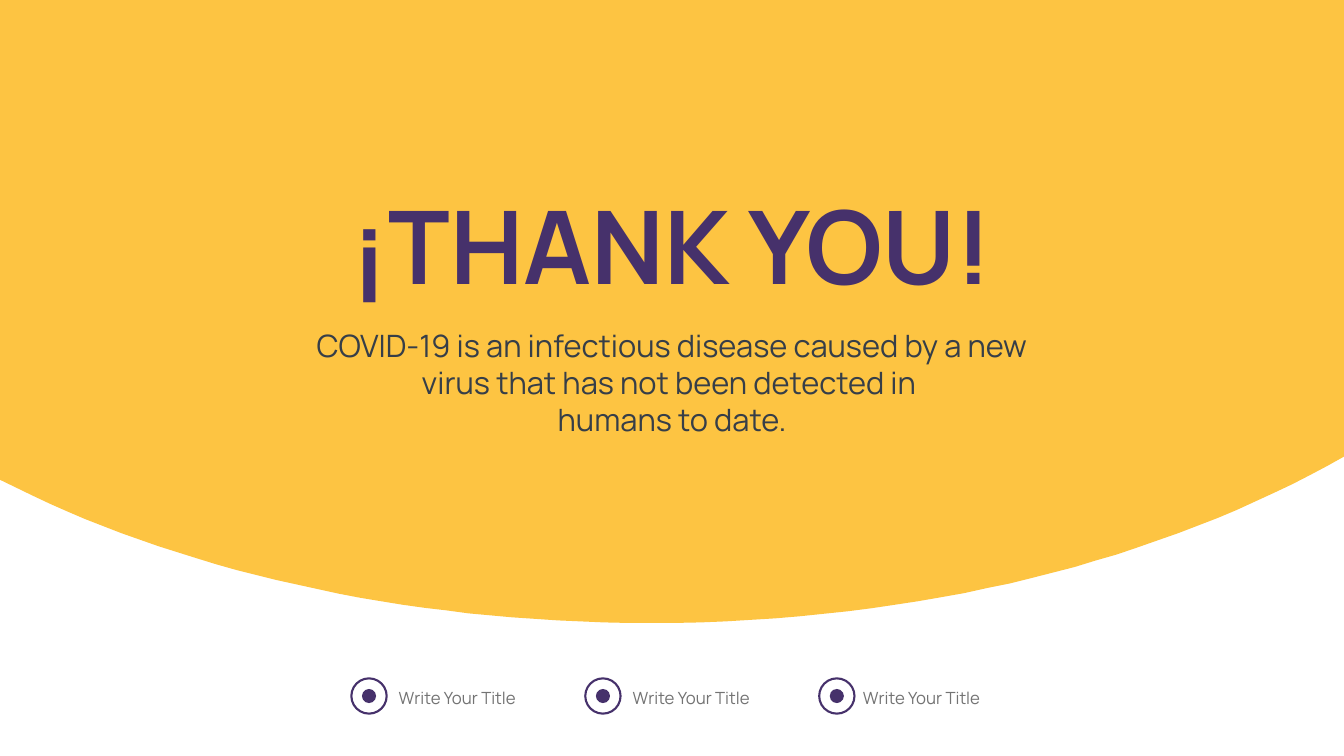
from pptx import Presentation
from pptx.dml.color import RGBColor
from pptx.enum.shapes import MSO_SHAPE
from pptx.enum.text import PP_ALIGN
from pptx.util import Pt

EMU_PER_PX = 9144  # 100 px to the inch
SLIDE_W, SLIDE_H = 2666, 1500

YELLOW = RGBColor(0xFD, 0xC4, 0x42)
PURPLE = RGBColor(0x46, 0x31, 0x6B)
SLATE = RGBColor(0x36, 0x3E, 0x48)
GREY = RGBColor(0x73, 0x73, 0x73)

OVAL = MSO_SHAPE.OVAL
LEFT, CENTER = PP_ALIGN.LEFT, PP_ALIGN.CENTER

# Lower edge of the yellow field: two cubic curves, left to right
FIELD_EDGE = [
    ((0, 952), (345, 1129), (797, 1236), (1290, 1236)),
    ((1290, 1236), (1825, 1236), (2311, 1109), (2666, 906)),
]
CURVE_STEPS = 32

RING_LEFT, RING_TOP, RING_SIZE, RING_PITCH = 697, 1346, 70, 464
DOT_SIZE = 28
LABEL_LEFTS = (781, 1245, 1702)


def px(length):
    return int(length * EMU_PER_PX)


def curve_points(start, control_1, control_2, end):
    """Points along a cubic curve, without its start."""
    points = []
    for step in range(1, CURVE_STEPS + 1):
        t = step / CURVE_STEPS
        u = 1 - t
        points.append(tuple(
            round(u**3 * a + 3 * u**2 * t * b + 3 * u * t**2 * c + t**3 * d, 2)
            for a, b, c, d in zip(start, control_1, control_2, end)))
    return points


class SlideWriter:
    """Holds the font and the current slide."""

    def __init__(self, slide, font="Manrope"):
        self.shapes = slide.shapes
        self.font = font

    def text(self, paragraphs, left, top, width, height, *,
             size, color, bold=False, align=LEFT):
        box = self.shapes.add_textbox(px(left), px(top), px(width), px(height))
        frame = box.text_frame
        frame.word_wrap = True
        frame.text = "\n".join(paragraphs)
        for paragraph in frame.paragraphs:
            paragraph.alignment = align
            for run in paragraph.runs:
                run.font.name = self.font
                run.font.size = Pt(size)
                run.font.bold = bold
                run.font.color.rgb = color

    def outline(self, points, fill):
        """Closed freeform through the given points."""
        builder = self.shapes.build_freeform(*points[0], scale=EMU_PER_PX)
        builder.add_line_segments(points[1:], close=True)
        self.paint(builder.convert_to_shape(), fill=fill)

    def circle(self, left, top, size, **colors):
        circle = self.shapes.add_shape(OVAL, px(left), px(top), px(size), px(size))
        self.paint(circle, **colors)

    def paint(self, shape, fill=None, line=None):
        shape.shadow.inherit = False
        if fill is None:
            shape.fill.background()
        else:
            shape.fill.solid()
            shape.fill.fore_color.rgb = fill
        if line is None:
            shape.line.fill.background()
        else:
            shape.line.color.rgb = line
            shape.line.width = Pt(3)


def main():
    deck = Presentation()
    deck.slide_width, deck.slide_height = px(SLIDE_W), px(SLIDE_H)
    writer = SlideWriter(deck.slides.add_slide(deck.slide_layouts[6]))

    field = [(0, 0), FIELD_EDGE[0][0]]
    for curve in FIELD_EDGE:
        field += curve_points(*curve)
    field.append((SLIDE_W, 0))
    writer.outline(field, YELLOW)

    writer.text(["¡THANK YOU!"], 561, 359, 1544, 254,
                size=145, color=PURPLE, bold=True, align=CENTER)
    writer.text(["COVID-19 is an infectious disease caused by a new virus "
                 "that has not been detected in ",
                 "humans to date."], 597, 644, 1473, 232,
                size=44, color=SLATE, align=CENTER)

    dot_inset = (RING_SIZE - DOT_SIZE) // 2
    for column, label_left in enumerate(LABEL_LEFTS):
        ring_left = RING_LEFT + column * RING_PITCH
        writer.circle(ring_left, RING_TOP, RING_SIZE, line=PURPLE)
        writer.circle(ring_left + dot_inset, RING_TOP + dot_inset, DOT_SIZE,
                      fill=PURPLE)
        writer.text(["Write Your Title"], label_left, 1359, 266, 50,
                    size=24, color=GREY)

    deck.save("out.pptx")


if __name__ == "__main__":
    main()
